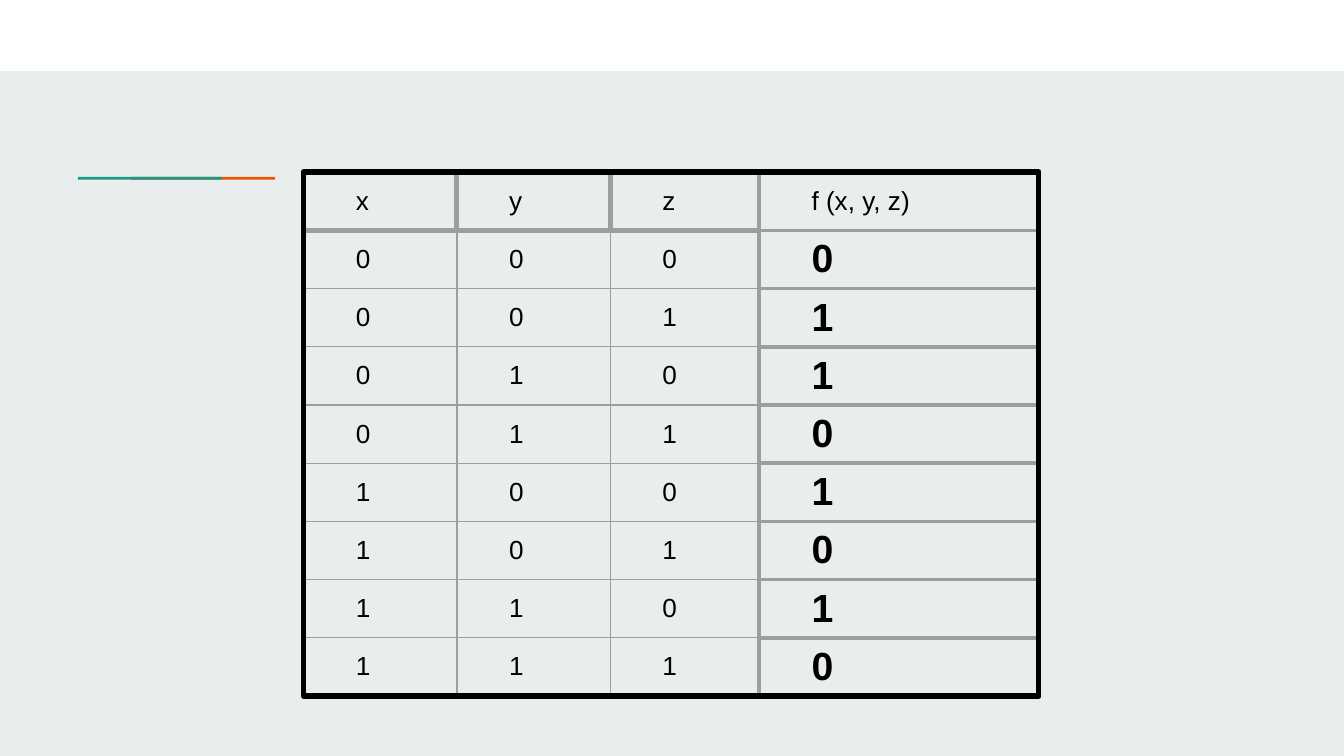
import itertools

import lxml.etree
import pptx
import pptx.dml.color
import pptx.enum.shapes
import pptx.enum.text
import pptx.oxml.ns
import pptx.util

Pt = pptx.util.Pt
COLORS = {
    "background": "E9EDEE", "band": "FFFFFF", "orange": "EB5600",
    "teal": "1A9988", "grid": "9E9E9E", "ink": "000000",
}
HEADERS = ["x", "y", "z", "f (x, y, z)"]
RESULTS = [0, 1, 1, 0, 1, 0, 1, 0]
COLUMN_WIDTHS = [82.1, 82.1, 79.9, 149.7]
RESULT_COLUMN = 3


def rgb(name):
    """Return the named colour."""
    return pptx.dml.color.RGBColor.from_string(COLORS[name])


def add_rectangle(slide, box, fill=None, line=None, line_width=3):
    """Add a plain rectangle with an optional fill and outline."""
    shape = slide.shapes.add_shape(
        pptx.enum.shapes.MSO_SHAPE.RECTANGLE, *(Pt(value) for value in box))
    shape.shadow.inherit = False
    if fill:
        shape.fill.solid()
        shape.fill.fore_color.rgb = rgb(fill)
    else:
        shape.fill.background()
    if line:
        shape.line.color.rgb = rgb(line)
        shape.line.width = Pt(line_width)
    else:
        shape.line.fill.background()


def set_borders(cell, widths):
    """Draw the left, right, top and bottom borders of a cell."""
    properties = cell._tc.get_or_add_tcPr()
    for index, (side, width) in enumerate(zip("LRTB", widths)):
        border = lxml.etree.Element(
            pptx.oxml.ns.qn("a:ln" + side), w=str(int(Pt(width))))
        fill = lxml.etree.SubElement(border, pptx.oxml.ns.qn("a:solidFill"))
        lxml.etree.SubElement(
            fill, pptx.oxml.ns.qn("a:srgbClr"), val=COLORS["grid"])
        properties.insert(index, border)


def border_widths(row, column):
    """Return left, right, top and bottom border widths for a cell."""
    if column == RESULT_COLUMN:
        return [2.25] * 4
    base = 3 if row == 0 else 0.75
    right = 2.25 if column == RESULT_COLUMN - 1 else base
    top = 3 if row <= 1 else base
    return [base, right, top, base]


def format_cell(cell, text, row, column):
    """Fill in one cell of the truth table."""
    is_result = row > 0 and column == RESULT_COLUMN
    cell.fill.background()
    cell.vertical_anchor = pptx.enum.text.MSO_ANCHOR.MIDDLE
    cell.margin_left, cell.margin_right = Pt(28), Pt(7.2)
    cell.margin_top = cell.margin_bottom = Pt(2.9 if is_result else 7.2)
    cell.text_frame.text = text
    font = cell.text_frame.paragraphs[0].runs[0].font
    font.name = "Arial"
    font.size = Pt(21 if is_result else 14)
    font.bold = is_result
    font.color.rgb = rgb("ink")
    set_borders(cell, border_widths(row, column))


def add_truth_table(slide, left, top, width, height):
    """Place the truth table and its heavy frame in the given box."""
    inputs = itertools.product([0, 1], repeat=3)
    rows = [HEADERS] + [[*bits, result] for bits, result in zip(inputs, RESULTS)]
    table = slide.shapes.add_table(
        len(rows), len(HEADERS), Pt(left), Pt(top), Pt(width), Pt(height)).table
    table.first_row = table.horz_banding = False
    for column, column_width in zip(table.columns, COLUMN_WIDTHS):
        column.width = Pt(column_width)
    for row_index, values in enumerate(rows):
        table.rows[row_index].height = Pt(height / len(rows))
        for column_index, value in enumerate(values):
            format_cell(table.cell(row_index, column_index), str(value),
                        row_index, column_index)
    add_rectangle(slide, (left, top, width, height), line="ink")


def add_accent(slide, left, top, width, height):
    """Place the two overlapping accent bars in the given box."""
    bar_width = width * 0.73
    add_rectangle(slide, (left + width - bar_width, top, bar_width, height), "orange")
    add_rectangle(slide, (left, top, bar_width, height), "teal")


def main():
    """Build the slide and save it."""
    presentation = pptx.Presentation()
    presentation.slide_width, presentation.slide_height = Pt(720), Pt(405)
    slide = presentation.slides.add_slide(presentation.slide_layouts[6])
    slide.background.fill.solid()
    slide.background.fill.fore_color.rgb = rgb("background")
    add_rectangle(slide, (0, 0, 720, 38.2), "band")
    add_accent(slide, 41.8, 94.7, 105.7, 1.5)
    add_truth_table(slide, 162.7, 92.2, sum(COLUMN_WIDTHS), 280.8)
    presentation.save("out.pptx")


main()
